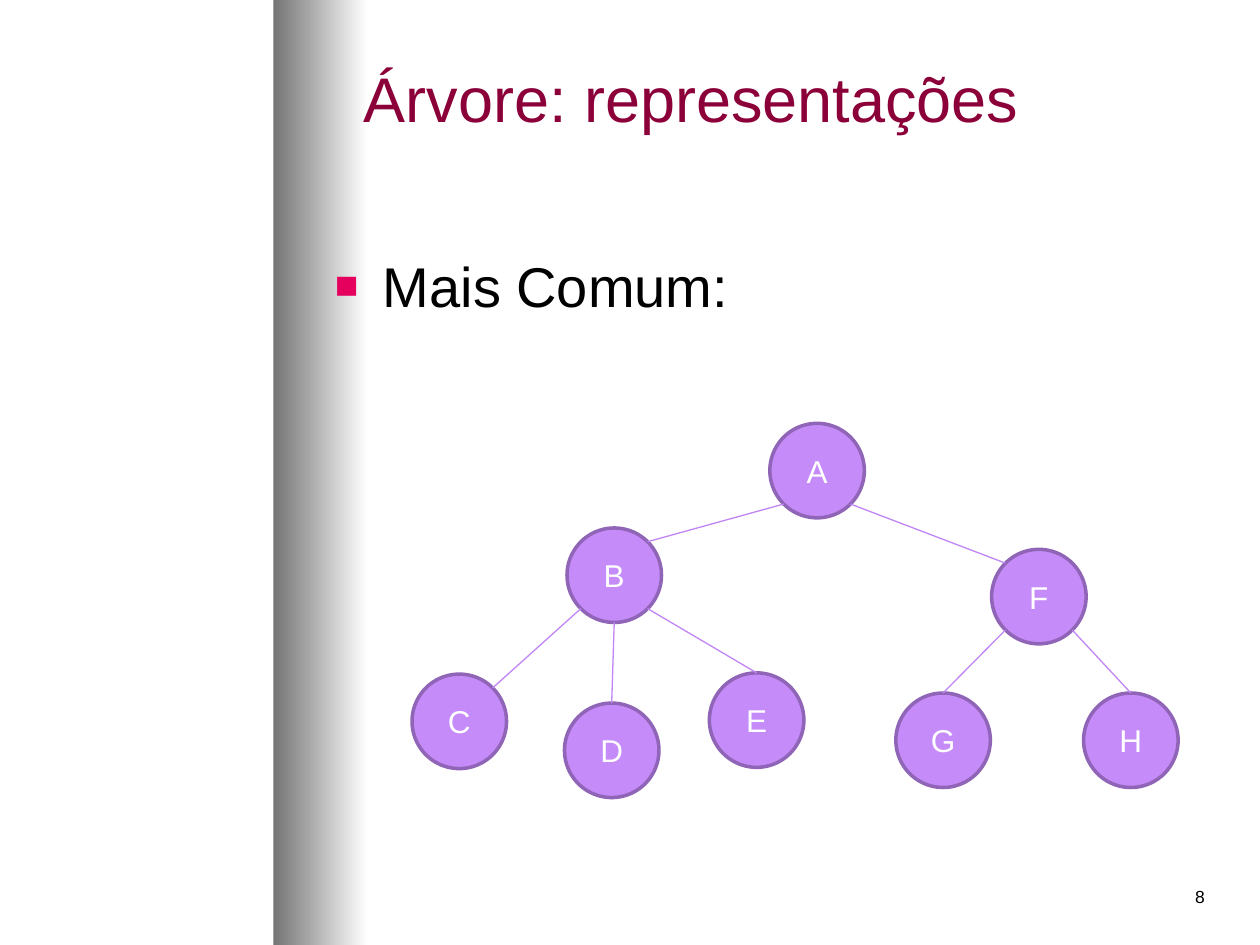
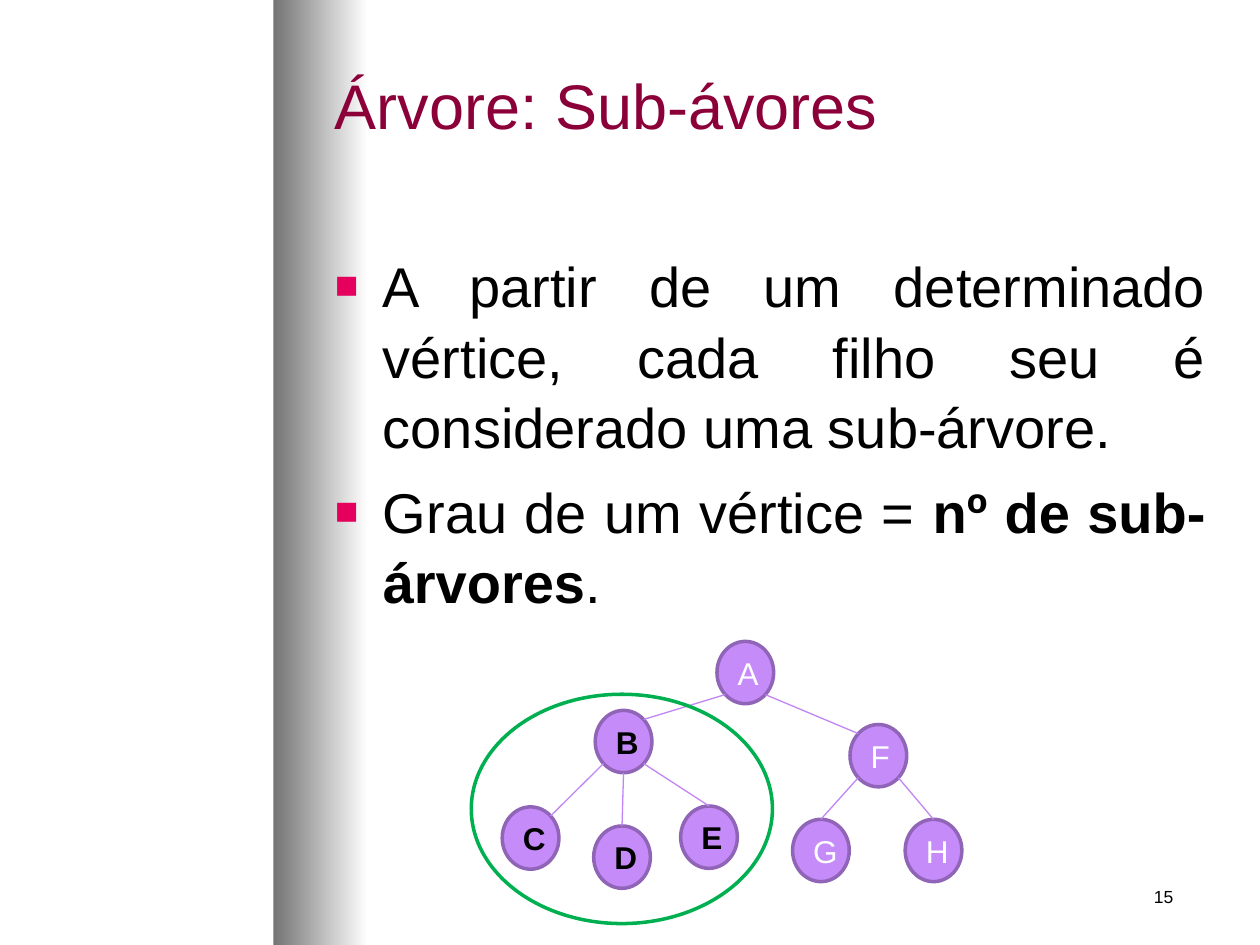
"""Build two slides about tree data structures."""
from lxml import etree
from pptx import Presentation, util as u
from pptx.dml.color import RGBColor
from pptx.enum import shapes, text
from pptx.oxml import ns

COLORS = {
    "title": "8C0039", "body": "000000", "bullet": "E4005C",
    "band_dark": "747474", "band_light": "FFFFFF",
    "node": "C58BF9", "node_line": "9065B7", "node_text": "FFFFFF",
    "edge": "C185F6", "highlight": "00B050",
}
NODE_SIZE = 0.75
NODES = {
    "A": (0, 0), "B": (-1.61, 0.83), "C": (-2.84, 1.99), "D": (-1.63, 2.22),
    "E": (-0.48, 1.98), "F": (1.76, 1), "G": (1, 2.14), "H": (2.49, 2.14),
}
NEAR, FAR = 0.146, 0.854
SITES = {
    "top": (0.5, 0), "bottom": (0.5, 1), "top_left": (NEAR, NEAR),
    "top_right": (FAR, NEAR), "bottom_left": (NEAR, FAR), "bottom_right": (FAR, FAR),
}
EDGES = [
    ("A", "bottom_left", "B", "top_right"), ("A", "bottom_right", "F", "top_left"),
    ("B", "bottom_left", "C", "top_right"), ("B", "bottom", "D", "top"),
    ("B", "bottom_right", "E", "top"), ("F", "bottom_left", "G", "top"),
    ("F", "bottom_right", "H", "top"),
]


def color(name):
    """Return the named colour."""
    return RGBColor.from_string(COLORS[name])


class SlideBuilder:
    """Hold the deck style and the current page."""

    def __init__(self):
        """Start a deck of 10 by 7.5 inches."""
        self.deck = Presentation()
        self.deck.slide_width = u.Inches(10)
        self.deck.slide_height = u.Inches(7.5)
        self.page = None

    def add_page(self, title, title_left, title_top, title_width, number, number_left):
        """Add a page with its band, title and number."""
        self.page = self.deck.slides.add_slide(self.deck.slide_layouts[6])
        self.band()
        title_frame = self.text_box(title_left, title_top, title_width, 1.55)
        title_frame.vertical_anchor = text.MSO_ANCHOR.MIDDLE
        self.span(title_frame.paragraphs[0], title, 36, "title")
        number_frame = self.text_box(number_left, 6.83, 2.08, 0.5)
        number_frame.margin_top = u.Inches(0.2)
        number_frame.paragraphs[0].alignment = text.PP_ALIGN.RIGHT
        self.span(number_frame.paragraphs[0], number, 10, "body")

    def preset(self, kind, left, top, width, height):
        """Add a preset shape without shadow."""
        shape = self.page.shapes.add_shape(kind, *map(u.Inches, (left, top, width, height)))
        shape.shadow.inherit = False
        return shape

    def band(self):
        """Draw the vertical gradient band."""
        band = self.preset(shapes.MSO_SHAPE.RECTANGLE, 2.17, 0, 0.75, 7.5)
        band.line.fill.background()
        band.fill.gradient()
        band.fill.gradient_angle = 0
        for stop, name in zip(band.fill.gradient_stops, ("band_dark", "band_light")):
            stop.color.rgb = color(name)

    def text_box(self, left, top, width, height):
        """Add a wrapping text box and return its frame."""
        box = self.page.shapes.add_textbox(*map(u.Inches, (left, top, width, height)))
        box.text_frame.word_wrap = True
        return box.text_frame

    def span(self, para, words, size, color_name, bold=False):
        """Add a formatted run to a paragraph."""
        span = para.add_run()
        span.text = words
        span.font.name = "Arial"
        span.font.size = u.Pt(size)
        span.font.bold = bold
        span.font.color.rgb = color(color_name)

    def bullets(self, items):
        """Add the body, each item a list of (words, bold) pairs."""
        frame = self.text_box(2.56, 1.92, 7.11, 5.42)
        for index, item in enumerate(items):
            para = frame.add_paragraph() if index else frame.paragraphs[0]
            para.alignment = text.PP_ALIGN.JUSTIFY
            para.line_spacing = 1.05
            if index:
                para.space_before = u.Pt(8)
            self.bullet_mark(para)
            for words, bold in item:
                self.span(para, words, 32, "body", bold)

    def bullet_mark(self, para):
        """Give a paragraph a hanging square bullet."""
        props = para._p.get_or_add_pPr()
        props.set("marL", str(u.Inches(0.38)))
        props.set("indent", str(u.Inches(-0.38)))
        bullet_color = etree.SubElement(props, ns.qn("a:buClr"))
        etree.SubElement(bullet_color, ns.qn("a:srgbClr"), val=COLORS["bullet"])
        etree.SubElement(props, ns.qn("a:buSzPct"), val="70000")
        etree.SubElement(props, ns.qn("a:buFont"), typeface="Arial")
        etree.SubElement(props, ns.qn("a:buChar"), char="■")

    def node(self, label, left, top, width, height, bold):
        """Draw a labelled tree node."""
        node = self.preset(shapes.MSO_SHAPE.OVAL, left, top, width, height)
        node.fill.solid()
        node.fill.fore_color.rgb = color("node")
        node.line.color.rgb = color("node_line")
        node.line.width = u.Pt(2)
        para = node.text_frame.paragraphs[0]
        para.alignment = text.PP_ALIGN.CENTER
        self.span(para, label, 18, "body" if bold else "node_text", bold)

    def edge(self, start, end):
        """Draw a thin line between two points."""
        edge = self.page.shapes.add_connector(
            shapes.MSO_CONNECTOR.STRAIGHT, *map(u.Inches, (*start, *end)))
        edge.line.color.rgb = color("edge")
        edge.line.width = u.Pt(0.75)
        etree.SubElement(edge._element.spPr, ns.qn("a:effectLst"))

    def tree(self, left, top, scale_x=1, scale_y=1, marked=""):
        """Draw the tree with its root at the given place."""
        width, height = NODE_SIZE * scale_x, NODE_SIZE * scale_y
        corners = {label: (left + x * scale_x, top + y * scale_y)
                   for label, (x, y) in NODES.items()}

        def site(label, name):
            """Return a connection point of a node."""
            (x, y), (across, down) = corners[label], SITES[name]
            return x + across * width, y + down * height

        for label, corner in corners.items():
            self.node(label, *corner, width, height, label in marked)
        for parent, parent_site, child, child_site in EDGES:
            self.edge(site(parent, parent_site), site(child, child_site))

    def highlight(self, left, top, width, height):
        """Circle a part of the tree."""
        ring = self.preset(shapes.MSO_SHAPE.OVAL, left, top, width, height)
        ring.fill.background()
        ring.line.color.rgb = color("highlight")
        ring.line.width = u.Pt(2)


def main():
    """Build and save the deck."""
    builder = SlideBuilder()

    builder.add_page("Árvore: representações", 2.79, 0, 5.87, "8", 7.58)
    builder.bullets([[("Mais Comum:", False)]])
    builder.tree(6.11, 3.36)

    builder.add_page("Árvore: Sub-ávores", 2.56, 0.05, 6.29, "15", 7.33)
    builder.bullets([
        [("A partir de um determinado vértice, cada filho seu é "
          "considerado uma sub-árvore.", False)],
        [("Grau de um vértice = ", False), ("nº de sub-árvores", True), (".", False)],
    ])
    builder.tree(5.69, 5.09, 0.6, 0.66, marked="BCDE")
    builder.highlight(3.74, 5.51, 2.39, 1.82)

    builder.deck.save("out.pptx")


if __name__ == "__main__":
    main()
